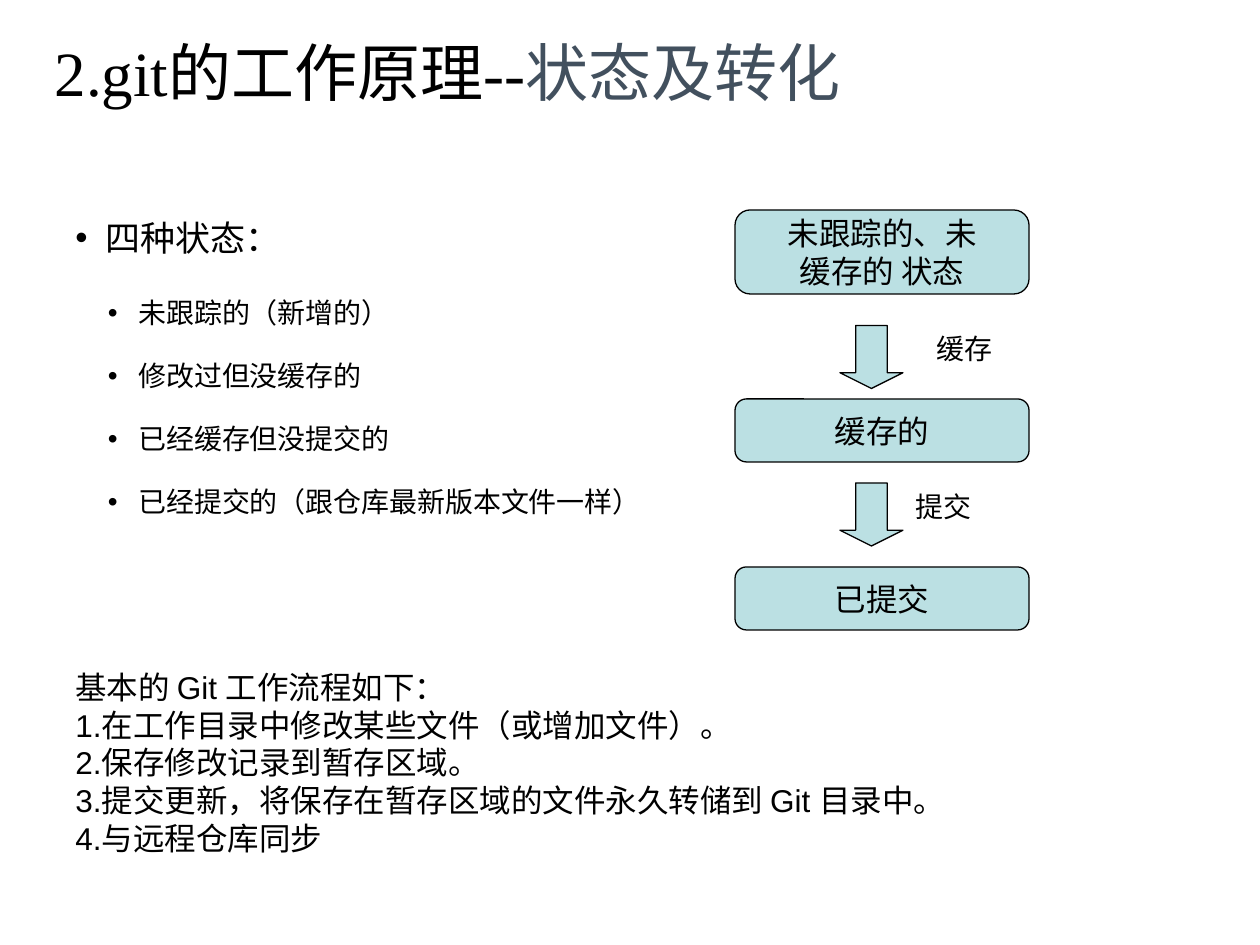
"""Builds a slide on the states of files in git and how they change."""
import pptx
import pptx.dml.color
import pptx.enum.shapes
import pptx.enum.text
import pptx.oxml
import pptx.oxml.ns
import pptx.util

Pt = pptx.util.Pt
SHAPES = pptx.enum.shapes.MSO_SHAPE
ALIGN = pptx.enum.text.PP_ALIGN
ANCHOR = pptx.enum.text.MSO_ANCHOR
AUTO_SIZE = pptx.enum.text.MSO_AUTO_SIZE

BLACK, SLATE, PALE_TEAL = "000000", "42505E", "BBE0E3"
TITLE_RUNS = [("2.git的工作原理--", BLACK), ("状态及转化", SLATE)]
STATES_HEADING = "四种状态："
STATES = [
    "未跟踪的（新增的）",
    "修改过但没缓存的",
    "已经缓存但没提交的",
    "已经提交的（跟仓库最新版本文件一样）",
]
WORKFLOW = [
    "基本的 Git 工作流程如下：",
    "1.在工作目录中修改某些文件（或增加文件）。",
    "2.保存修改记录到暂存区域。",
    "3.提交更新，将保存在暂存区域的文件永久转储到 Git 目录中。",
    "4.与远程仓库同步",
]
STAGES = [
    (["未跟踪的、未", "缓存的 状态"], 120, 48),
    (["缓存的"], 228, 36),
    (["已提交"], 324, 36),
]
STEPS = [("缓存", 186, 528), ("提交", 276, 516)]
STAGE_LEFT, STAGE_WIDTH = 420, 168
ARROW_LEFT, ARROW_SIZE = 480, 36


def rgb(value):
    return pptx.dml.color.RGBColor.from_string(value)


def set_font(font, size, color=BLACK, name="Arial"):
    for key, value in {"size": Pt(size), "name": name}.items():
        setattr(font, key, value)
    font.color.rgb = rgb(color)


def add_bullet(paragraph, margin, hanging):
    properties = paragraph._p.get_or_add_pPr()
    for key, value in {"marL": margin, "indent": -hanging}.items():
        properties.set(key, str(int(Pt(value))))
    namespace = pptx.oxml.ns.nsdecls("a")
    for xml in (f'<a:buFont {namespace} typeface="Arial"/>',
                f'<a:buChar {namespace} char="•"/>'):
        properties.append(pptx.oxml.parse_xml(xml))


def write_lines(frame, lines, size, **formats):
    for number, line in enumerate(lines):
        paragraph = frame.paragraphs[0] if number == 0 else frame.add_paragraph()
        paragraph.text = line
        for key, value in formats.items():
            setattr(paragraph, key, value)
        set_font(paragraph.font, size)


def add_text(slide, left, top, width, height):
    frame = slide.shapes.add_textbox(Pt(left), Pt(top), Pt(width), Pt(height)).text_frame
    frame.word_wrap = True
    return frame


def add_block(slide, kind, left, top, width, height):
    block = slide.shapes.add_shape(kind, Pt(left), Pt(top), Pt(width), Pt(height))
    block.shadow.inherit = False
    block.fill.solid()
    block.fill.fore_color.rgb = rgb(PALE_TEAL)
    block.line.color.rgb = rgb(BLACK)
    block.line.width = Pt(0.75)
    return block


def add_title(slide):
    title = slide.shapes.title
    place = {"left": 24, "top": 6, "width": 648, "height": 70}
    for key, value in place.items():
        setattr(title, key, Pt(value))
    frame = title.text_frame
    formats = {"auto_size": AUTO_SIZE.NONE, "vertical_anchor": ANCHOR.MIDDLE}
    for key, value in formats.items():
        setattr(frame, key, value)
    paragraph = frame.paragraphs[0]
    paragraph.alignment = ALIGN.LEFT
    for text, color in TITLE_RUNS:
        run = paragraph.add_run()
        run.text = text
        set_font(run.font, 36, color, "Times New Roman")


def add_states(slide):
    frame = add_text(slide, 36, 120, 342, 219)
    heading = frame.paragraphs[0]
    heading.text = STATES_HEADING
    add_bullet(heading, 17, 17)
    set_font(heading.font, 20)
    for number, state in enumerate(STATES):
        paragraph = frame.add_paragraph()
        paragraph.text = state
        paragraph.level = 1
        paragraph.space_before = Pt(16.8 if number else 21.6)
        add_bullet(paragraph, 36, 17.5)
        set_font(paragraph.font, 16)


def add_flow(slide):
    for lines, top, height in STAGES:
        stage = add_block(slide, SHAPES.ROUNDED_RECTANGLE,
                          STAGE_LEFT, top, STAGE_WIDTH, height)
        stage.adjustments[0] = 0.18
        frame = stage.text_frame
        frame.word_wrap = False
        frame.vertical_anchor = ANCHOR.MIDDLE
        write_lines(frame, lines, 18, alignment=ALIGN.CENTER)
    for label, top, label_left in STEPS:
        arrow = add_block(slide, SHAPES.DOWN_ARROW,
                          ARROW_LEFT, top, ARROW_SIZE, ARROW_SIZE)
        arrow.adjustments[0], arrow.adjustments[1] = 0.5, 0.25
        write_lines(add_text(slide, label_left, top, 103, 26.5), [label], 16)


def main():
    deck = pptx.Presentation()
    deck.slide_width, deck.slide_height = Pt(720), Pt(540)
    slide = deck.slides.add_slide(deck.slide_layouts[5])
    add_title(slide)
    add_states(slide)
    write_lines(add_text(slide, 36, 378, 546, 115), WORKFLOW, 18)
    add_flow(slide)
    deck.save("out.pptx")


if __name__ == "__main__":
    main()
